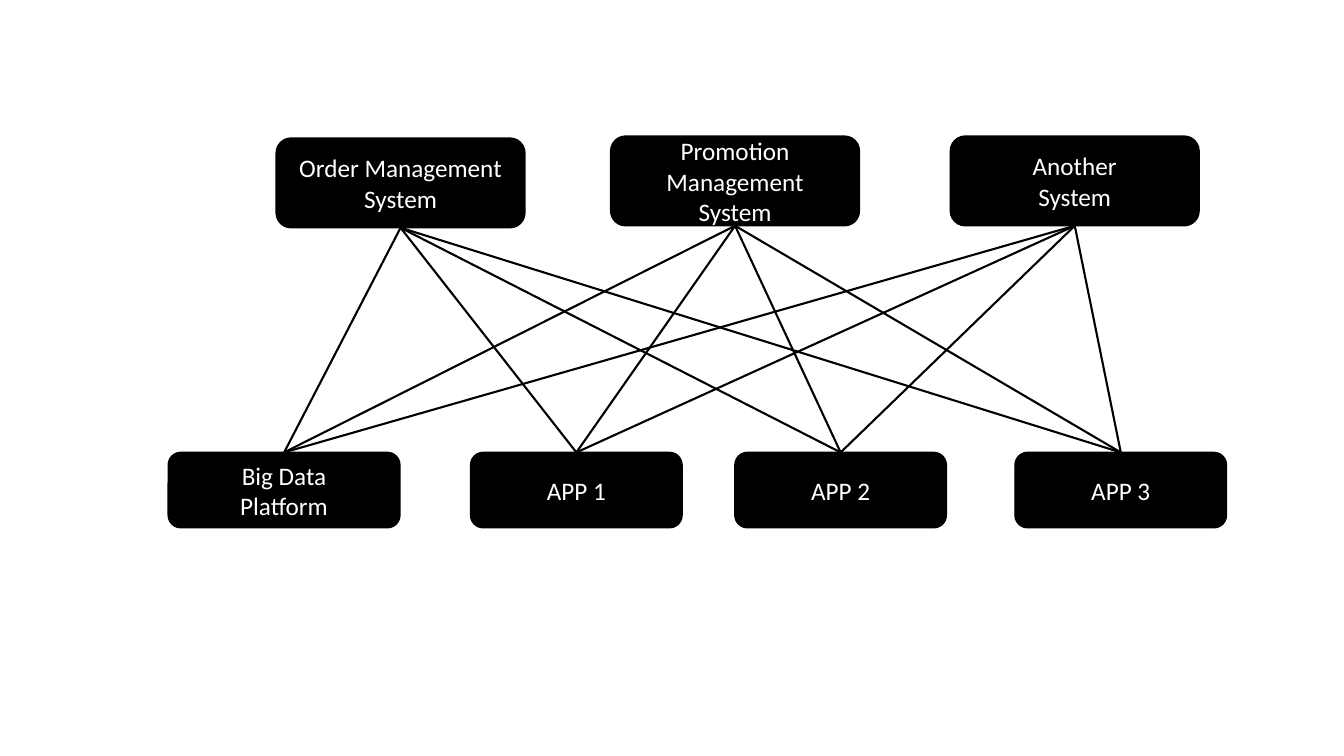
from dataclasses import dataclass

from lxml import etree
from pptx import Presentation
from pptx import util as u
from pptx.dml.color import RGBColor
from pptx.enum import shapes, text
from pptx.oxml.ns import qn


@dataclass(frozen=True)
class Theme:
    ink: RGBColor = RGBColor(0, 0, 0)
    paper: RGBColor = RGBColor(255, 255, 255)
    font: str = "Calibri"
    size: u.Pt = u.Pt(18)
    outline: u.Pt = u.Pt(1)
    link: u.Pt = u.Pt(1.5)


class Diagram:
    TOP_SITE, BOTTOM_SITE = 0, 2

    def __init__(self, page, theme):
        self.page = page
        self.theme = theme

    def box(self, left, top, width, height, label):
        box = self.page.shapes.add_shape(
            shapes.MSO_SHAPE.ROUNDED_RECTANGLE,
            u.Cm(left), u.Cm(top), u.Cm(width), u.Cm(height))
        box.shadow.inherit = False
        box.fill.solid()
        box.fill.fore_color.rgb = self.theme.ink
        box.line.color.rgb = self.theme.ink
        box.line.width = self.theme.outline
        frame = box.text_frame
        frame.word_wrap = True
        frame.vertical_anchor = text.MSO_ANCHOR.MIDDLE
        frame.text = label
        for para in frame.paragraphs:
            para.alignment = text.PP_ALIGN.CENTER
            para.font.name = self.theme.font
            para.font.size = self.theme.size
            para.font.color.rgb = self.theme.paper
        return box

    def link(self, upper, lower):
        line = self.page.shapes.add_connector(
            shapes.MSO_CONNECTOR.STRAIGHT, 0, 0, 0, 0)
        line.begin_connect(upper, self.BOTTOM_SITE)
        line.end_connect(lower, self.TOP_SITE)
        line.line.color.rgb = self.theme.ink
        line.line.width = self.theme.link
        etree.SubElement(line._element.spPr, qn("a:effectLst"))


SYSTEMS = [
    (6.96, 3.48, "Order Management\nSystem"),
    (15.39, 3.43, "Promotion Management\nSystem"),
    (23.95, 3.43, "Another\nSystem"),
]
CONSUMERS = [
    (4.24, 5.84, "Big Data\nPlatform"),
    (11.86, 5.33, "APP 1"),
    (18.52, 5.33, "APP 2"),
    (25.58, 5.33, "APP 3"),
]


def main():
    deck = Presentation()
    deck.slide_width, deck.slide_height = u.Cm(33.87), u.Cm(19.05)
    blank = deck.slide_layouts.get_by_name("Blank")
    diagram = Diagram(deck.slides.add_slide(blank), Theme())

    systems = [diagram.box(left, top, 6.27, 2.26, label)
               for left, top, label in SYSTEMS]
    consumers = [diagram.box(left, 11.4, width, 1.9, label)
                 for left, width, label in CONSUMERS]
    for system in systems:
        for consumer in consumers:
            diagram.link(system, consumer)

    deck.save("out.pptx")


if __name__ == "__main__":
    main()
